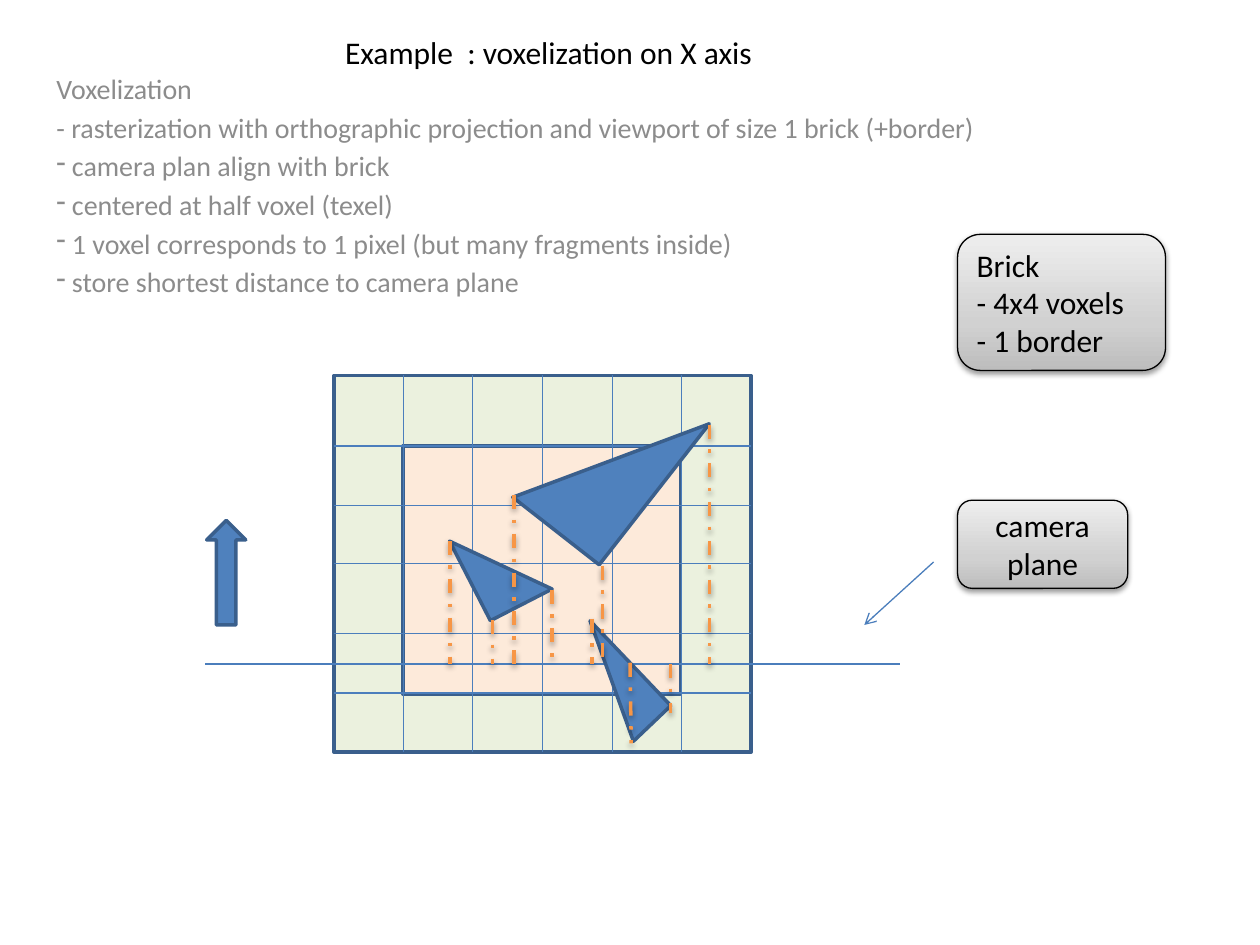
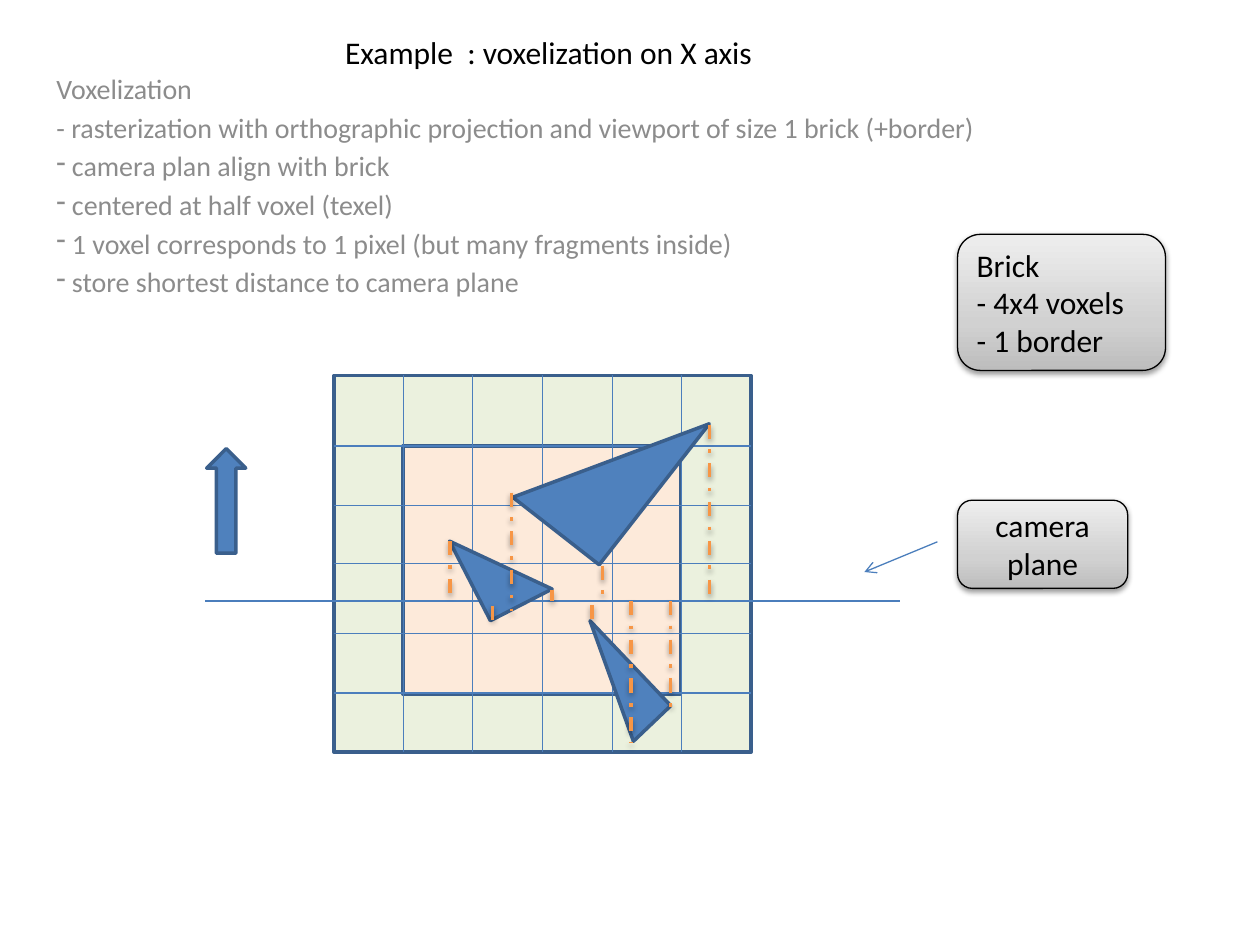
from copy import deepcopy
from dataclasses import dataclass
from typing import NamedTuple

from lxml.etree import SubElement
from pptx import Presentation
from pptx.dml.color import RGBColor
from pptx.enum.dml import MSO_LINE_DASH_STYLE as Dash
from pptx.enum.shapes import MSO_CONNECTOR as Connector, MSO_SHAPE as Shape
from pptx.enum.text import MSO_ANCHOR as Anchor, MSO_AUTO_SIZE as AutoSize, PP_ALIGN as Align
from pptx.oxml.ns import qn
from pptx.util import Emu, Pt

PX = 9144  # EMU per px, 100 px to the inch
FONT = "Calibri"
BLACK, GREY = "000000", "8C8C8C"
BORDER_FILL, BRICK_FILL = "EBF1DE", "FDEADA"
BLUE, OUTLINE, GRID_LINE, ORANGE = "4F81BD", "3A5F8C", "4B7EBC", "F79646"
LABEL_STOPS = [(0, "BDBDBD"), (0.35, "D1D1D1"), (1, "EEEEEE")]

TITLE = "Example  : voxelization on X axis"
INTRO = [
    "Voxelization",
    "- rasterization with orthographic projection and viewport of size 1 brick (+border)",
]
BULLETS = [
    " camera plan align with brick",
    " centered at half voxel (texel)",
    " 1 voxel corresponds to 1 pixel (but many fragments inside)",
    " store shortest distance to camera plane",
]


class Box(NamedTuple):
    x: int
    y: int
    w: int
    h: int


class Segment(NamedTuple):
    x1: int
    y1: int
    x2: int
    y2: int


class Triangle(NamedTuple):
    box: Box
    rotation: float


class Label(NamedTuple):
    box: Box
    lines: list[str]
    align: Align


@dataclass
class Scene:
    plane_y: int
    arrow_y: int
    pointer: Segment
    own_drops: list[Segment]


BOARD = Box(265, 298, 331, 299)
BRICK = Box(320, 354, 220, 197)
CELLS = 6
ROW_YS = [354, 401, 448, 503, 550]
MIDDLE = 2  # index of the grid line through the board's centre

TRIANGLES = [
    Triangle(Box(414, 322, 142, 87), 308),
    Triangle(Box(370, 413, 55, 71), 332.8),
    Triangle(Box(439, 520, 93, 41), 226.4),
]
# Triangle corners projected straight onto the camera plane
CORNERS = [(357, 429), (391, 492), (438, 468), (470, 491), (478, 449), (563, 337)]

LABELS = [
    Label(Box(760, 397, 135, 70), ["camera plane"], Align.CENTER),
    Label(Box(760, 186, 165, 108), ["Brick", "- 4x4 voxels", "- 1 border"], Align.LEFT),
]

SCENES = [
    Scene(527, 439, Segment(741, 446, 686, 496), [
        Segment(408, 393, 408, 527),
        Segment(532, 527, 532, 566),
        Segment(500, 526, 501, 590),
    ]),
    Scene(477, 382, Segment(744, 430, 686, 454), [
        Segment(532, 477, 532, 561),
        Segment(501, 477, 501, 590),
        Segment(406, 391, 406, 485),
    ]),
]


def px(n: float) -> Emu:
    return Emu(round(n * PX))


def rgb(value: str) -> RGBColor:
    return RGBColor.from_string(value)


def set_effects(shape, shadow: bool) -> None:
    """Replace the theme effect by a soft drop shadow or by none; call after the line is set."""
    effects = SubElement(shape._element.spPr, qn("a:effectLst"))
    if shadow:
        outer = SubElement(effects, qn("a:outerShdw"), blurRad="40000", dist="20000",
                           dir="5400000", rotWithShape="0")
        color = SubElement(outer, qn("a:srgbClr"), val=BLACK)
        SubElement(color, qn("a:alpha"), val="38000")


def set_line(shape, color: str, width: float) -> None:
    shape.line.color.rgb = rgb(color)
    shape.line.width = Pt(width)


def add_solid(s, kind: Shape, box: Box, fill: str, rotation: float = 0):
    sp = s.shapes.add_shape(kind, *map(px, box))
    sp.rotation = rotation
    sp.fill.solid()
    sp.fill.fore_color.rgb = rgb(fill)
    set_line(sp, OUTLINE, 2)
    set_effects(sp, False)
    return sp


def add_line(s, seg: Segment, color: str = GRID_LINE, width: float = 0.75, shadow: bool = False):
    line = s.shapes.add_connector(Connector.STRAIGHT, *map(px, seg))
    set_line(line, color, width)
    set_effects(line, shadow)
    return line


def add_drop(s, seg: Segment) -> None:
    """Draw a dash-dot projection line between a corner and the camera plane."""
    add_line(s, seg, ORANGE, 2, True).line.dash_style = Dash.DASH_DOT


def add_paragraphs(tf, lines: list[str], size: int, color: str, align: Align = Align.LEFT) -> list:
    tf.text = "\n".join(lines)
    for p in tf.paragraphs:
        p.alignment = align
        p.font.name = FONT
        p.font.size = Pt(size)
        p.font.color.rgb = rgb(color)
    return list(tf.paragraphs)


def add_dash_bullet(p) -> None:
    p_pr = p._p.get_or_add_pPr()
    p_pr.set("marL", "0")
    p_pr.set("indent", "0")
    defaults = p_pr.find(qn("a:defRPr"))
    defaults.addprevious(SubElement(p_pr, qn("a:buFontTx")))
    defaults.addprevious(SubElement(p_pr, qn("a:buChar"), char="-"))


def add_label(s, label: Label) -> None:
    sp = s.shapes.add_shape(Shape.ROUNDED_RECTANGLE, *map(px, label.box))
    sp.fill.gradient()
    sp.fill.gradient_angle = 90
    first = sp._element.spPr.find(".//" + qn("a:gs"))
    first.addnext(deepcopy(first))
    for stop, (position, color) in zip(sp.fill.gradient_stops, LABEL_STOPS):
        stop.position = position
        stop.color.rgb = rgb(color)
    set_line(sp, BLACK, 0.75)
    set_effects(sp, True)
    sp.text_frame.vertical_anchor = Anchor.MIDDLE
    add_paragraphs(sp.text_frame, label.lines, 18, BLACK, label.align)


def add_grid(s) -> None:
    board = add_solid(s, Shape.RECTANGLE, BOARD, BORDER_FILL)
    add_solid(s, Shape.RECTANGLE, BRICK, BRICK_FILL)
    x, y, w, h = BOARD
    column_xs = [x + round(w * i / CELLS) for i in range(1, CELLS)]
    columns = [add_line(s, Segment(cx, y, cx, y + h)) for cx in column_xs]
    rows = [add_line(s, Segment(x, ry, x + w, ry)) for ry in ROW_YS]
    for line, start, end in ((columns[MIDDLE], 0, 2), (rows[MIDDLE], 1, 3)):
        line.begin_connect(board, start)
        line.end_connect(board, end)


def add_texts(s) -> None:
    tf = s.shapes.add_textbox(*map(px, Box(35, 52, 827, 205))).text_frame
    tf.word_wrap = True
    paragraphs = add_paragraphs(tf, INTRO + BULLETS, 16, GREY)
    for p in paragraphs:
        p.space_before = Pt(2.9)
    for p in paragraphs[len(INTRO):]:
        add_dash_bullet(p)

    tf = s.shapes.add_textbox(*map(px, Box(264, 21, 347, 40))).text_frame
    tf.word_wrap = False
    tf.auto_size = AutoSize.SHAPE_TO_FIT_TEXT
    add_paragraphs(tf, [TITLE], 18, BLACK)


def add_scene(s, scene: Scene) -> None:
    add_grid(s)
    add_line(s, Segment(163, scene.plane_y, 714, scene.plane_y))
    add_solid(s, Shape.RIGHT_ARROW, Box(138, scene.arrow_y, 83, 31), BLUE, 270)
    for triangle in TRIANGLES:
        add_solid(s, Shape.RIGHT_TRIANGLE, triangle.box, BLUE, triangle.rotation)
    for x, y in CORNERS:
        add_drop(s, Segment(x, y, x, scene.plane_y))
    for seg in scene.own_drops:
        add_drop(s, seg)
    pointer = add_line(s, scene.pointer)
    SubElement(pointer.line._get_or_add_ln(), qn("a:tailEnd"), type="arrow")
    for label in LABELS:
        add_label(s, label)
    add_texts(s)


def main() -> None:
    prs = Presentation()
    prs.slide_width, prs.slide_height = px(1000), px(750)
    for scene in SCENES:
        add_scene(prs.slides.add_slide(prs.slide_layouts[6]), scene)
    prs.save("out.pptx")


if __name__ == "__main__":
    main()
